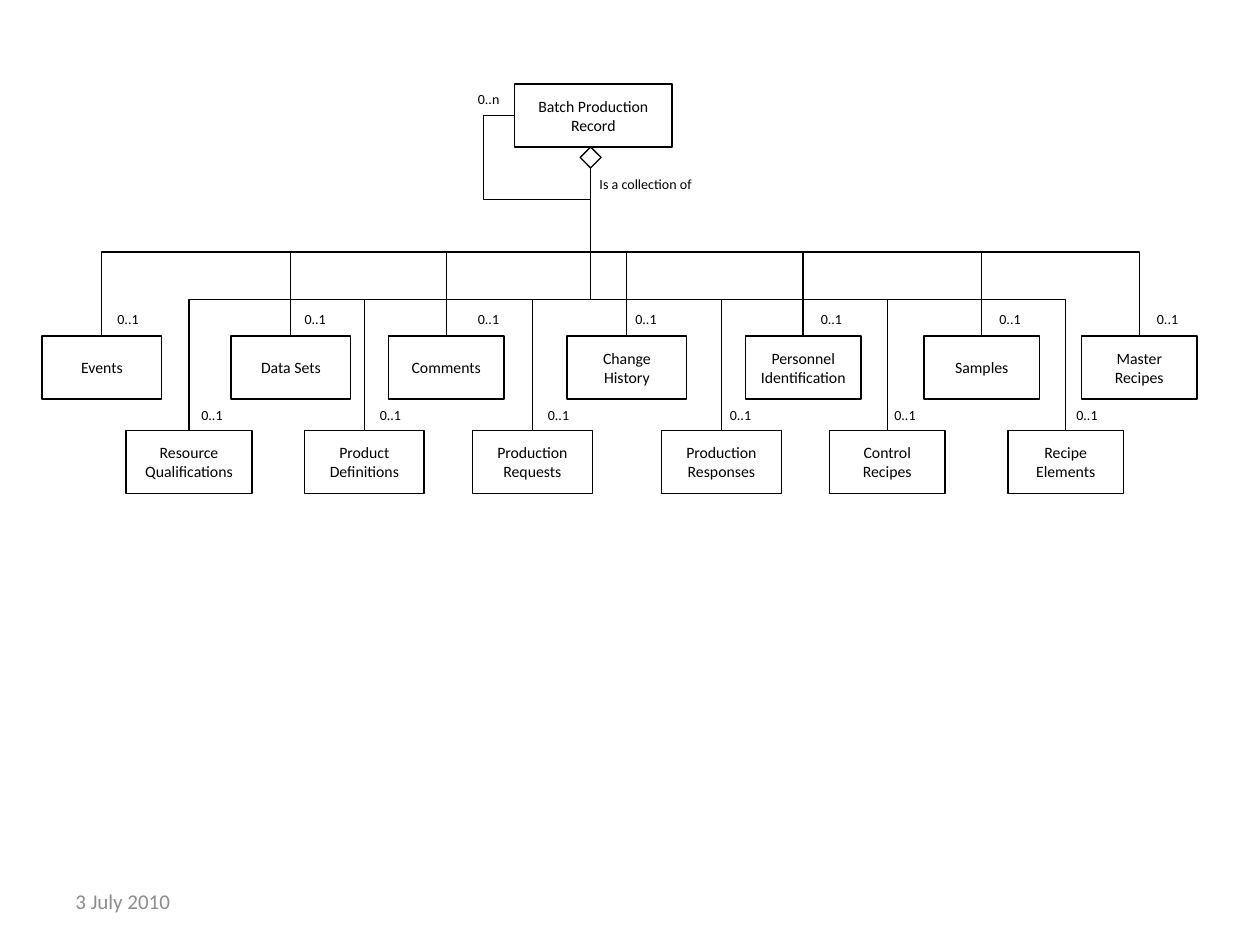
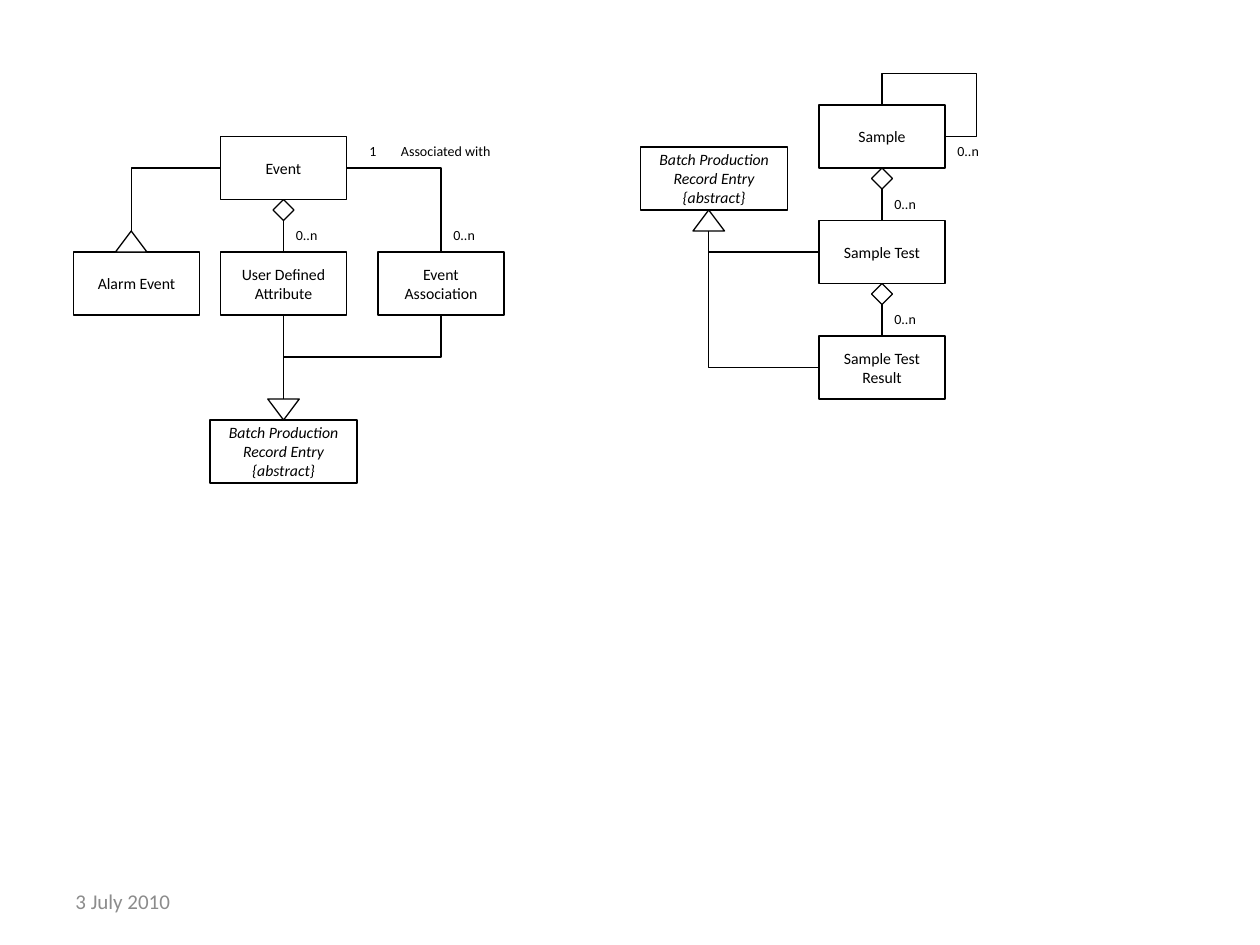
import pptx
import pptx.dml.color
import pptx.enum.shapes
import pptx.enum.text
import pptx.oxml.ns
import pptx.util
from lxml import etree

Pt = pptx.util.Pt
SHAPES = pptx.enum.shapes.MSO_SHAPE
CONNECTORS = pptx.enum.shapes.MSO_CONNECTOR
MIDDLE = pptx.enum.text.MSO_ANCHOR.MIDDLE
CENTER = pptx.enum.text.PP_ALIGN.CENTER
qn = pptx.oxml.ns.qn
BLACK, WHITE, GRAY = "000000", "FFFFFF", "8C8C8C"
ROW_HEIGHT = 36
TOP, BOTTOM = 0, 2


def color(hex_string):
    return pptx.dml.color.RGBColor.from_string(hex_string)


def write(frame, text, size=9, ink=BLACK, italic=False, align=None):
    for index, line in enumerate(text.split("\n")):
        para = frame.paragraphs[0] if index == 0 else frame.add_paragraph()
        para.alignment = align
        span = para.add_run()
        span.text = line
        span.font.name = "Calibri"
        span.font.size = Pt(size)
        span.font.italic = italic
        span.font.color.rgb = color(ink)


class Diagram:
    def __init__(self, deck):
        self.deck = deck
        self.page = None

    def start_page(self):
        self.page = self.deck.slides.add_slide(self.deck.slide_layouts[6])
        frame = self.text_frame(36, 500.5, 168, 28.75)
        frame.vertical_anchor = MIDDLE
        write(frame, "3 July 2010", size=12, ink=GRAY)

    def text_frame(self, left, top, width, height, wrap=True):
        box = self.page.shapes.add_textbox(Pt(left), Pt(top), Pt(width), Pt(height))
        box.text_frame.word_wrap = wrap
        return box.text_frame

    def label(self, text, left, top, width=28, wrap=False):
        frame = self.text_frame(left, top, width, 17, wrap)
        frame.auto_size = pptx.enum.text.MSO_AUTO_SIZE.SHAPE_TO_FIT_TEXT
        write(frame, text, size=8)

    def outline(self, kind, left, top, width, height, filled=True):
        shape = self.page.shapes.add_shape(kind, Pt(left), Pt(top), Pt(width), Pt(height))
        shape.shadow.inherit = False
        if filled:
            shape.fill.solid()
            shape.fill.fore_color.rgb = color(WHITE)
        else:
            shape.fill.background()
        shape.line.color.rgb = color(BLACK)
        shape.line.width = Pt(0.75)
        return shape

    def entity(self, text, left, top, width=72, italic=False, filled=True):
        box = self.outline(SHAPES.RECTANGLE, left, top, width, ROW_HEIGHT, filled)
        box.text_frame.word_wrap = True
        box.text_frame.vertical_anchor = MIDDLE
        write(box.text_frame, text, italic=italic, align=CENTER)
        return box

    def abstract_entry(self, left, top):
        self.entity("Batch Production Record Entry\n{abstract}", left, top, 84, italic=True)

    def diamond(self, center, top):
        return self.outline(SHAPES.DIAMOND, center - 6, top, 12, 12)

    def triangle(self, center, top, rotation=0):
        shape = self.outline(SHAPES.ISOSCELES_TRIANGLE, center - 9, top, 18, 12)
        shape.rotation = rotation

    def connector(self, kind, start, end):
        line = self.page.shapes.add_connector(kind, *[Pt(value) for value in start + end])
        line.line.color.rgb = color(BLACK)
        line.line.width = Pt(0.75)
        etree.SubElement(line._element.spPr, qn("a:effectLst"))
        return line

    def straight(self, start, end, start_box=None, end_box=None):
        line = self.connector(CONNECTORS.STRAIGHT, start, end)
        if start_box is not None:
            line.begin_connect(start_box, TOP)
        if end_box is not None:
            line.end_connect(end_box, BOTTOM)

    def elbow(self, start, end, preset="bentConnector3", adjust=()):
        line = self.connector(CONNECTORS.ELBOW, start, end)
        self.set_route(line, preset, adjust)

    def vertical_elbow(self, start, end, preset="bentConnector3"):
        across, down = end[0] - start[0], end[1] - start[1]
        middle_x, middle_y = (start[0] + end[0]) / 2, (start[1] + end[1]) / 2
        half_width, half_height = abs(down) / 2, abs(across) / 2
        line = self.connector(CONNECTORS.ELBOW,
                              (middle_x - half_width, middle_y - half_height),
                              (middle_x + half_width, middle_y + half_height))
        frame = line._element.spPr.find(qn("a:xfrm"))
        frame.set("rot", str((270 if across > 0 else 90) * 60000))
        if (down < 0) != (across > 0):
            frame.set("flipH", "1")
        self.set_route(line, preset)

    def set_route(self, line, preset, adjust=()):
        geometry = line._element.spPr.find(qn("a:prstGeom"))
        geometry.set("prst", preset)
        guides = geometry.find(qn("a:avLst"))
        if guides is None:
            guides = etree.SubElement(geometry, qn("a:avLst"))
        for number, share in enumerate(adjust, 1):
            etree.SubElement(guides, qn("a:gd"), name=f"adj{number}",
                             fmla=f"val {round(share * 100000)}")


def batch_record_page(diagram):
    diagram.start_page()
    hub = (337.5, 96)
    upper = [("Events", 24, 68.4, 60, True),
             ("Data Sets", 132, 68.4, 167, True),
             ("Comments", 222, 66, 266, True),
             ("Change History", 324, 68.4, 356, True),
             ("Personnel\nIdentification", 426, 66, 462, True),
             ("Samples", 528, 66, 564, True),
             ("Master Recipes", 618, 66, 654, True)]
    lower = [("Resource Qualifications", 72, 72, 108, True),
             ("Product Definitions", 174, 68.4, 210, False),
             ("Production Requests", 270, 68.4, 306, False),
             ("Production\nResponses", 378, 68.4, 410, False),
             ("Control Recipes", 474, 66, 504, True),
             ("Recipe\nElements", 576, 66, 608, True)]
    for entries, top, label_top in ((upper, 192, 174), (lower, 246, 228.5)):
        for text, left, width, label_left, filled in entries:
            diagram.vertical_elbow((left + width / 2, top), hub)
            diagram.entity(text, left, top, width, filled=filled)
            diagram.label("0..1", label_left, label_top)
    diagram.entity("Batch Production Record", 294, 48, 90)
    diagram.elbow((294, 66), hub, "bentConnector4", (-0.41, 1.6))
    diagram.diamond(hub[0], 84)
    diagram.label("Is a collection of", 335.5, 97, 72)
    diagram.label("0..n", 266, 48)


def event_model(diagram):
    diagram.entity("Event", 126, 78)
    diagram.entity("Alarm Event", 42, 144)
    attribute = diagram.entity("User Defined Attribute", 126, 144)
    diagram.entity("Event Association", 216, 144)
    diamond = diagram.diamond(162, 114)
    diagram.straight((162, 144), (162, 126), attribute, diamond)
    diagram.elbow((126, 96), (75, 132), "bentConnector2")
    diagram.triangle(75, 132)
    diagram.elbow((198, 96), (252, 144), "bentConnector2")
    diagram.abstract_entry(120, 240)
    diagram.triangle(162, 228, rotation=180)
    diagram.straight((162, 228), (162, 180), end_box=attribute)
    diagram.vertical_elbow((252, 180), (162, 228))
    for left in (162, 252):
        diagram.label("0..n", left, 126)
    diagram.label("1", 204, 78, 18)
    diagram.label("Associated with", 222, 78, 84, wrap=True)


def sample_model(diagram):
    names = ("Sample", "Sample Test", "Sample Test Result")
    tops = [60 + 66 * index for index in range(len(names))]
    boxes = [diagram.entity(name, 468, top) for name, top in zip(names, tops)]
    for child, top in zip(boxes[1:], tops[1:]):
        diamond = diagram.diamond(504, top - 30)
        diagram.straight((504, top), (504, top - 18), child, diamond)
        diagram.label("0..n", 504, top - 18)
        diagram.vertical_elbow((405, 132), (468, top + 18), "bentConnector2")
    diagram.elbow((540, 78), (504, 60), "bentConnector4", (-0.5, 2))
    diagram.label("0..n", 540, 78)
    diagram.abstract_entry(366, 84)
    diagram.triangle(405, 120)


def main():
    deck = pptx.Presentation()
    deck.slide_width, deck.slide_height = Pt(720), Pt(540)
    diagram = Diagram(deck)
    batch_record_page(diagram)
    diagram.start_page()
    event_model(diagram)
    sample_model(diagram)
    deck.save("out.pptx")


if __name__ == "__main__":
    main()
